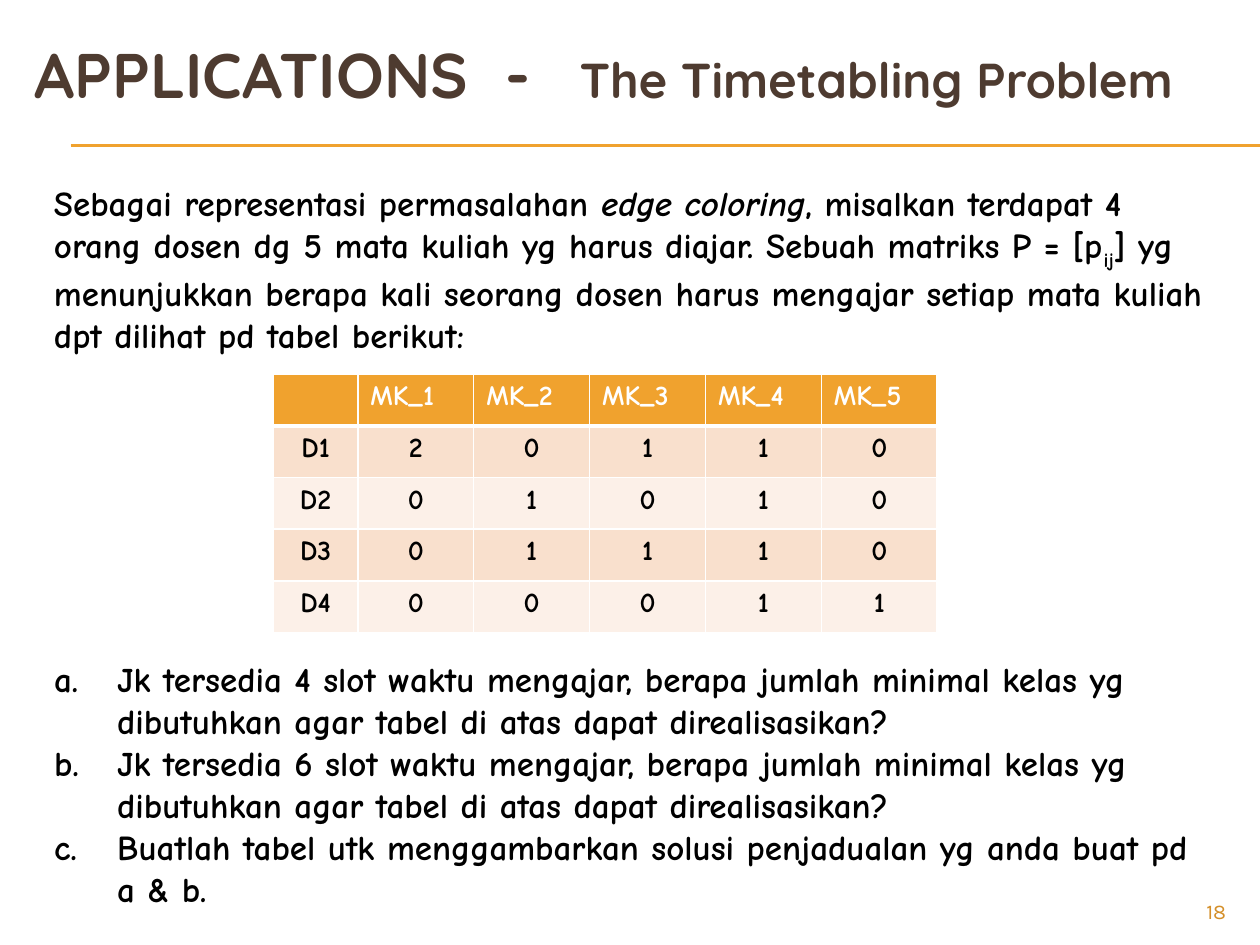
from lxml.etree import SubElement
from pptx import Presentation
from pptx.dml.color import RGBColor
from pptx.enum.shapes import MSO_CONNECTOR as Connector
from pptx.enum.text import MSO_ANCHOR as Anchor, MSO_AUTO_SIZE as AutoSize, PP_ALIGN as Align
from pptx.oxml.ns import qn
from pptx.util import Inches, Pt

COLORS = {"brown": "4E3B30", "orange": "F0A22E", "dark_orange": "D48F29", "black": "000000",
          "white": "FFFFFF", "dark_band": "F9E0CD", "light_band": "FCF0E8"}

TITLE_FORMAT = {"name": "Quicksand", "bold": True, "color": "brown"}
BODY_FORMAT = {"name": "Comic Neue", "bold": True, "size": Pt(20), "color": "black"}
CELL_FORMAT = {**BODY_FORMAT, "size": Pt(16)}
HEADER_FORMAT = {**CELL_FORMAT, "color": "white"}
NUMBER_FORMAT = {"name": "Karla", "size": Pt(12), "color": "dark_orange"}

TITLE = [("APPLICATIONS\t-\t", {"size": Pt(36)}), ("The Timetabling Problem", {"size": Pt(28)})]
TITLE_TABS = (3.74, 4.33)
INTRO = [
    ("Sebagai representasi permasalahan ", {}),
    ("edge coloring", {"italic": True}),
    (", misalkan terdapat 4 orang dosen dg 5 mata kuliah yg harus diajar. "
     "Sebuah matriks P = [p", {}),
    ("ij", {"baseline": "-25000"}),
    ("] yg menunjukkan berapa kali seorang dosen harus mengajar setiap mata kuliah "
     "dpt dilihat pd tabel berikut:", {}),
]
COURSES = ["MK_1", "MK_2", "MK_3", "MK_4", "MK_5"]
LECTURERS = {"D1": [2, 0, 1, 1, 0], "D2": [0, 1, 0, 1, 0],
             "D3": [0, 1, 1, 1, 0], "D4": [0, 0, 0, 1, 1]}
QUESTIONS = [
    "Jk tersedia 4 slot waktu mengajar, berapa jumlah minimal kelas yg dibutuhkan "
    "agar tabel di atas dapat direalisasikan?",
    "Jk tersedia 6 slot waktu mengajar, berapa jumlah minimal kelas yg dibutuhkan "
    "agar tabel di atas dapat direalisasikan?",
    "Buatlah tabel utk menggambarkan solusi penjadualan yg anda buat pd a & b.",
]
SLIDE_NUMBER = "18"
LABEL_WIDTH, COURSE_WIDTH, ROW_HEIGHT = 0.67, 0.92, 0.41


def rgb(name):
    return RGBColor.from_string(COLORS[name])


def add_run(paragraph, text, values):
    run = paragraph.add_run()
    run.text = text
    for key, value in values.items():
        if key == "color":
            run.font.color.rgb = rgb(value)
        elif key == "baseline":
            run._r.get_or_add_rPr().set("baseline", value)
        else:
            setattr(run.font, key, value)


def place(shape, left, top, width, height):
    shape.left, shape.top, shape.width, shape.height = map(Inches, (left, top, width, height))


def add_text_box(slide, box, runs, values, alignment=Align.LEFT):
    frame = slide.shapes.add_textbox(*map(Inches, box)).text_frame
    frame.word_wrap = True
    paragraph = frame.paragraphs[0]
    paragraph.alignment = alignment
    for text, extra in runs:
        add_run(paragraph, text, {**values, **extra})


def add_rule(slide, top):
    line = slide.shapes.add_connector(
        Connector.STRAIGHT, Inches(0.56), Inches(top), Inches(10), Inches(top))
    line.line.color.rgb = rgb("orange")
    line.line.width = Pt(0.75)
    SubElement(line._element.spPr, qn("a:effectLst"))


def fill_title(title):
    place(title, 0.17, 0.08, 9.67, 1)
    title.text_frame.vertical_anchor = Anchor.MIDDLE
    paragraph = title.text_frame.paragraphs[0]
    paragraph.alignment = Align.LEFT
    tabs = SubElement(paragraph._p.get_or_add_pPr(), qn("a:tabLst"))
    for position in TITLE_TABS:
        SubElement(tabs, qn("a:tab"), pos=str(Inches(position)), algn="l")
    for text, extra in TITLE:
        add_run(paragraph, text, {**TITLE_FORMAT, **extra})


def fill_questions(body):
    place(body, 0.33, 5.17, 9.42, 2.12)
    frame = body.text_frame
    frame.auto_size = AutoSize.SHAPE_TO_FIT_TEXT
    for index, question in enumerate(QUESTIONS):
        paragraph = frame.add_paragraph() if index else frame.paragraphs[0]
        paragraph.space_before = Pt(0)
        properties = paragraph._p.get_or_add_pPr()
        properties.set("marL", str(Inches(0.5)))
        properties.set("indent", str(-Inches(0.5)))
        SubElement(properties, qn("a:buFont"), typeface="+mj-lt")
        SubElement(properties, qn("a:buAutoNum"), type="alphaLcPeriod")
        add_run(paragraph, question, BODY_FORMAT)


def set_borders(cell, bottom_width):
    """Draw white borders; they must come before the fill in the cell properties."""
    properties = cell._tc.get_or_add_tcPr()
    for side, width in (("L", 1), ("R", 1), ("T", 1), ("B", bottom_width)):
        line = SubElement(properties, qn(f"a:ln{side}"), w=str(Pt(width)))
        SubElement(SubElement(line, qn("a:solidFill")), qn("a:srgbClr"), val=COLORS["white"])


def add_timetable(slide):
    rows = [["", *COURSES]] + [[name, *counts] for name, counts in LECTURERS.items()]
    widths = [LABEL_WIDTH] + [COURSE_WIDTH] * len(COURSES)
    table = slide.shapes.add_table(
        len(rows), len(widths), Inches(2.17), Inches(2.97),
        Inches(sum(widths)), Inches(ROW_HEIGHT * len(rows))).table
    for column, width in zip(table.columns, widths):
        column.width = Inches(width)
    for row_index, values in enumerate(rows):
        table.rows[row_index].height = Inches(ROW_HEIGHT)
        is_header = row_index == 0
        band = "orange" if is_header else ("light_band", "dark_band")[row_index % 2]
        for column_index, value in enumerate(values):
            cell = table.cell(row_index, column_index)
            set_borders(cell, 3 if is_header else 1)
            cell.fill.solid()
            cell.fill.fore_color.rgb = rgb(band)
            paragraph = cell.text_frame.paragraphs[0]
            paragraph.alignment = Align.LEFT if is_header else Align.CENTER
            if value != "":
                add_run(paragraph, str(value), HEADER_FORMAT if is_header else CELL_FORMAT)
        if not is_header:
            table.cell(row_index, 0).vertical_anchor = Anchor.TOP
    # The header's thick edge is shared with the first lecturer row.
    for cell in table.rows[1].cells:
        cell._tc.tcPr.find(qn("a:lnT")).set("w", str(Pt(3)))


def main():
    presentation = Presentation()
    presentation.slide_width, presentation.slide_height = Inches(10), Inches(7.5)
    slide = presentation.slides.add_slide(presentation.slide_layouts[1])
    for top in (1.15, 1.16):
        add_rule(slide, top)
    fill_title(slide.shapes.title)
    add_text_box(slide, (9, 7.08, 0.83, 0.27), [(SLIDE_NUMBER, {})], NUMBER_FORMAT, Align.RIGHT)
    add_text_box(slide, (0.33, 1.39, 9.42, 1.45), INTRO, BODY_FORMAT)
    add_timetable(slide)
    fill_questions(slide.placeholders[1])
    presentation.save("out.pptx")


if __name__ == "__main__":
    main()
